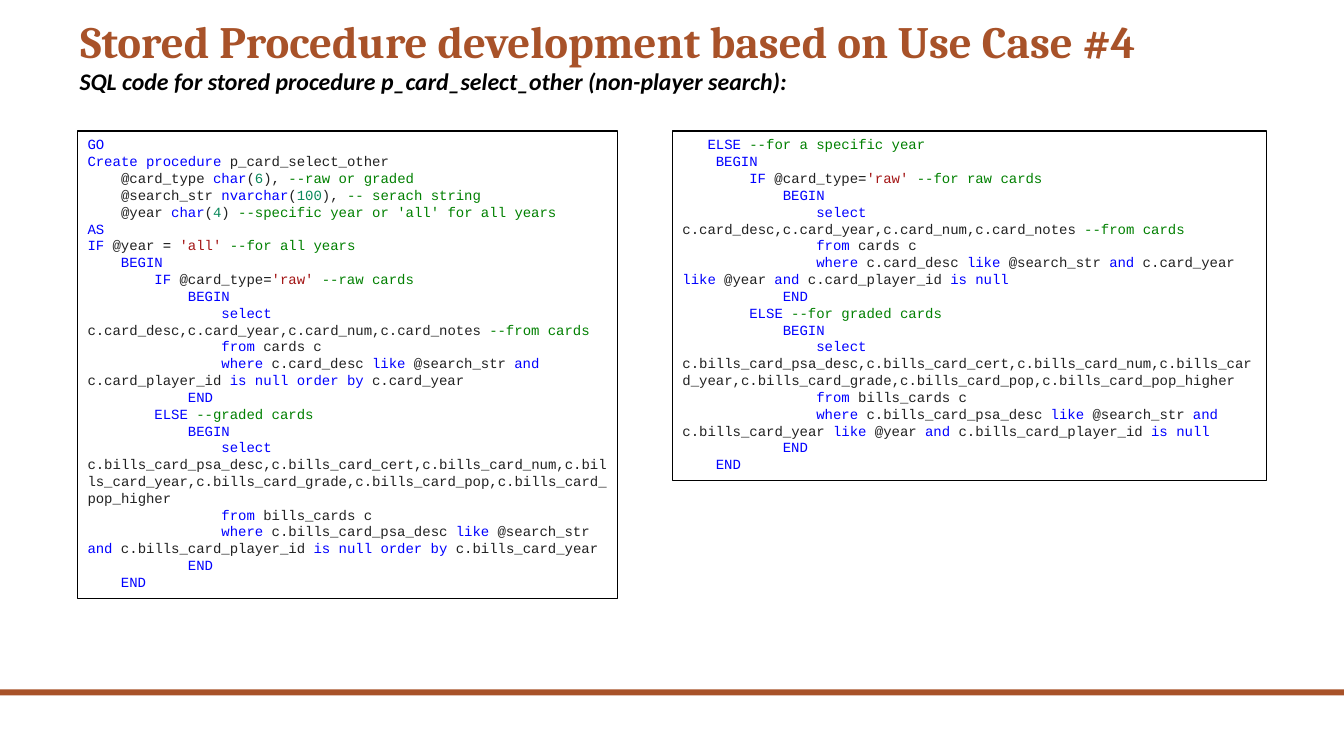
from itertools import groupby

from pptx import Presentation
from pptx.dml.color import RGBColor
from pptx.enum.shapes import MSO_SHAPE
from pptx.enum.text import MSO_ANCHOR, PP_ALIGN
from pptx.util import Pt

PX = 9144  # 100 px to the inch
RUST, BLACK = "A85229", "000000"
KEYWORD, PLAIN, NUMBER, STRING, COMMENT = "0000FF", "212121", "09885A", "A31515", "008000"
KEYWORDS = set(
    "GO Create procedure char nvarchar AS IF BEGIN select from where "
    "like and is null order by END ELSE".split()
)

SELECT_RAW = "                select c.card_desc,c.card_year,c.card_num,c.card_notes --from cards"
SELECT_GRADED = (
    "                select c.bills_card_psa_desc,c.bills_card_cert,c.bills_card_num,"
    "c.bills_card_year,c.bills_card_grade,c.bills_card_pop,c.bills_card_pop_higher"
)
FROM_RAW = "                from cards c"
FROM_GRADED = "                from bills_cards c"
WHERE_RAW = "                where c.card_desc like @search_str and "
WHERE_GRADED = "                where c.bills_card_psa_desc like @search_str and "
BRANCH_BEGIN = "            BEGIN"
BRANCH_END = "            END"

ALL_YEARS = [
    "GO",
    "Create procedure p_card_select_other",
    "    @card_type char(6), --raw or graded",
    "    @search_str nvarchar(100), -- serach string",
    "    @year char(4) --specific year or 'all' for all years",
    "AS",
    "IF @year = 'all' --for all years",
    "    BEGIN",
    "        IF @card_type='raw' --raw cards",
    BRANCH_BEGIN,
    SELECT_RAW,
    FROM_RAW,
    WHERE_RAW + "c.card_player_id is null order by c.card_year",
    BRANCH_END,
    "        ELSE --graded cards",
    BRANCH_BEGIN,
    SELECT_GRADED,
    FROM_GRADED,
    WHERE_GRADED + "c.bills_card_player_id is null order by c.bills_card_year",
    BRANCH_END,
    "    END",
]
ONE_YEAR = [
    "   ELSE --for a specific year",
    "    BEGIN",
    "        IF @card_type='raw' --for raw cards",
    BRANCH_BEGIN,
    SELECT_RAW,
    FROM_RAW,
    WHERE_RAW + "c.card_year like @year and c.card_player_id is null",
    BRANCH_END,
    "        ELSE --for graded cards",
    BRANCH_BEGIN,
    SELECT_GRADED,
    FROM_GRADED,
    WHERE_GRADED + "c.bills_card_year like @year and c.bills_card_player_id is null",
    BRANCH_END,
    "    END",
]


def color(code):
    return RGBColor.from_string(code)


def token_color(token):
    """Return the syntax colour of one SQL token."""
    if token in KEYWORDS:
        return KEYWORD
    if token.isdigit():
        return NUMBER
    if token.startswith("'"):
        return STRING
    return BLACK if "=" in token else PLAIN


deck = Presentation()
deck.slide_width, deck.slide_height = 1333 * PX, 750 * PX
page = deck.slides.add_slide(deck.slide_layouts[6])

footer_bar = page.shapes.add_shape(MSO_SHAPE.RECTANGLE, 0, 684 * PX, 1333 * PX, 6 * PX)
footer_bar.shadow.inherit = False
footer_bar.fill.solid()
footer_bar.fill.fore_color.rgb = color(RUST)
footer_bar.line.fill.background()

headings = [
    ("Stored Procedure development based on Use Case #4", (70, 14, 1157, 60), RUST,
     MSO_ANCHOR.MIDDLE, 0.9, dict(name="Cambria", size=Pt(32), bold=True)),
    ("SQL code for stored procedure p_card_select_other (non-player search):",
     (69, 61, 1201, 39), BLACK, MSO_ANCHOR.TOP, 1.0,
     dict(name="Calibri", size=Pt(17), bold=True, italic=True)),
]
for text, place, ink, anchor, spacing, font_format in headings:
    box = page.shapes.add_textbox(*(length * PX for length in place))
    box.text_frame.word_wrap = True
    box.text_frame.vertical_anchor = anchor
    para = box.text_frame.paragraphs[0]
    para.line_spacing = spacing
    span = para.add_run()
    span.text = text
    span.font.color.rgb = color(ink)
    for name, value in font_format.items():
        setattr(span.font, name, value)

for lines, left, width, height in [(ALL_YEARS, 77, 536, 464), (ONE_YEAR, 667, 589, 347)]:
    box = page.shapes.add_shape(
        MSO_SHAPE.RECTANGLE, left * PX, 130 * PX, width * PX, height * PX)
    box.shadow.inherit = False
    box.fill.background()
    box.line.color.rgb = color(BLACK)
    box.line.width = Pt(0.75)
    frame = box.text_frame
    frame.word_wrap = True
    frame.vertical_anchor = MSO_ANCHOR.TOP

    for number, line in enumerate(lines):
        para = frame.add_paragraph() if number else frame.paragraphs[0]
        para.alignment = PP_ALIGN.LEFT
        statement, dashes, remark = line.partition("--")
        tokens = ["".join(chars) for _, chars in groupby(
            statement, lambda char: char.isalnum() or char in "_.@'")]
        pieces = [(token_color(token), token) for token in tokens]
        if dashes:
            pieces.append((COMMENT, dashes + remark))
        for ink, group in groupby(pieces, lambda piece: piece[0]):
            span = para.add_run()
            span.text = "".join(token for _, token in group)
            span.font.name = "Courier New"
            span.font.size = Pt(10)
            span.font.color.rgb = color(ink)

deck.save("out.pptx")
